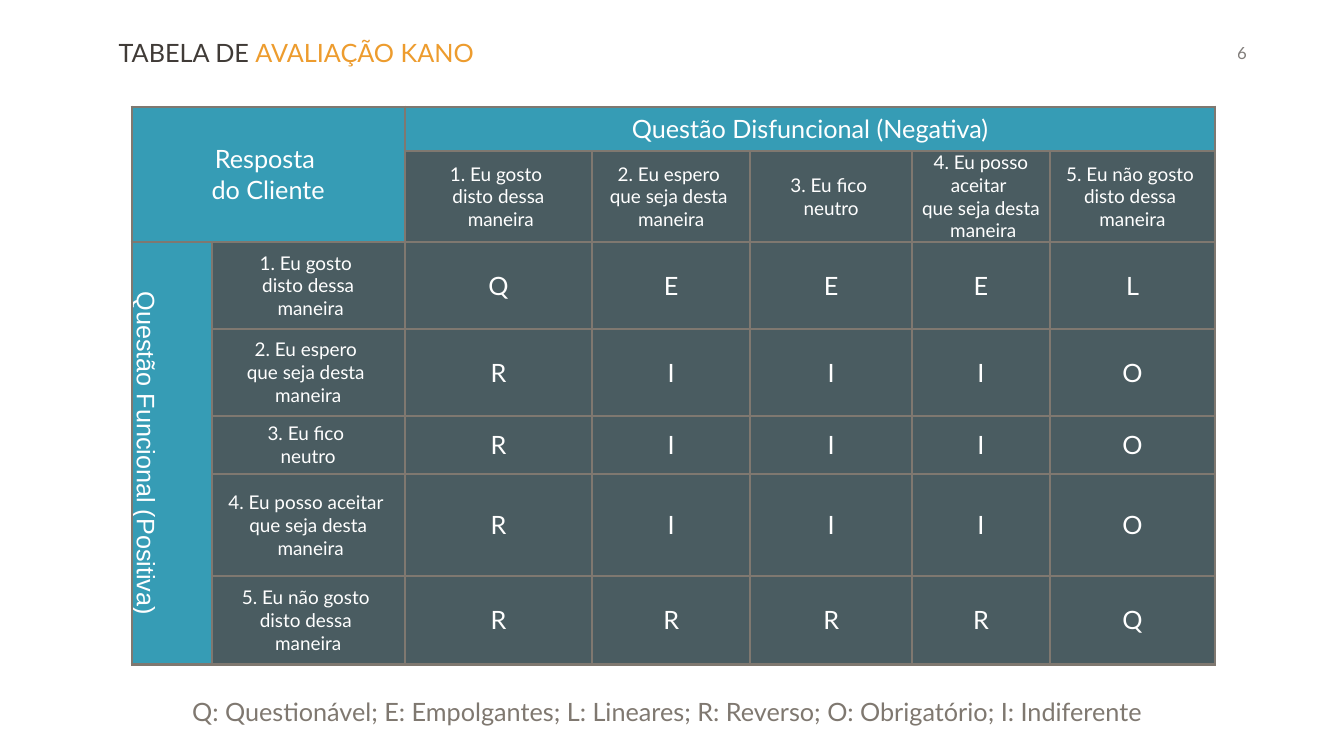
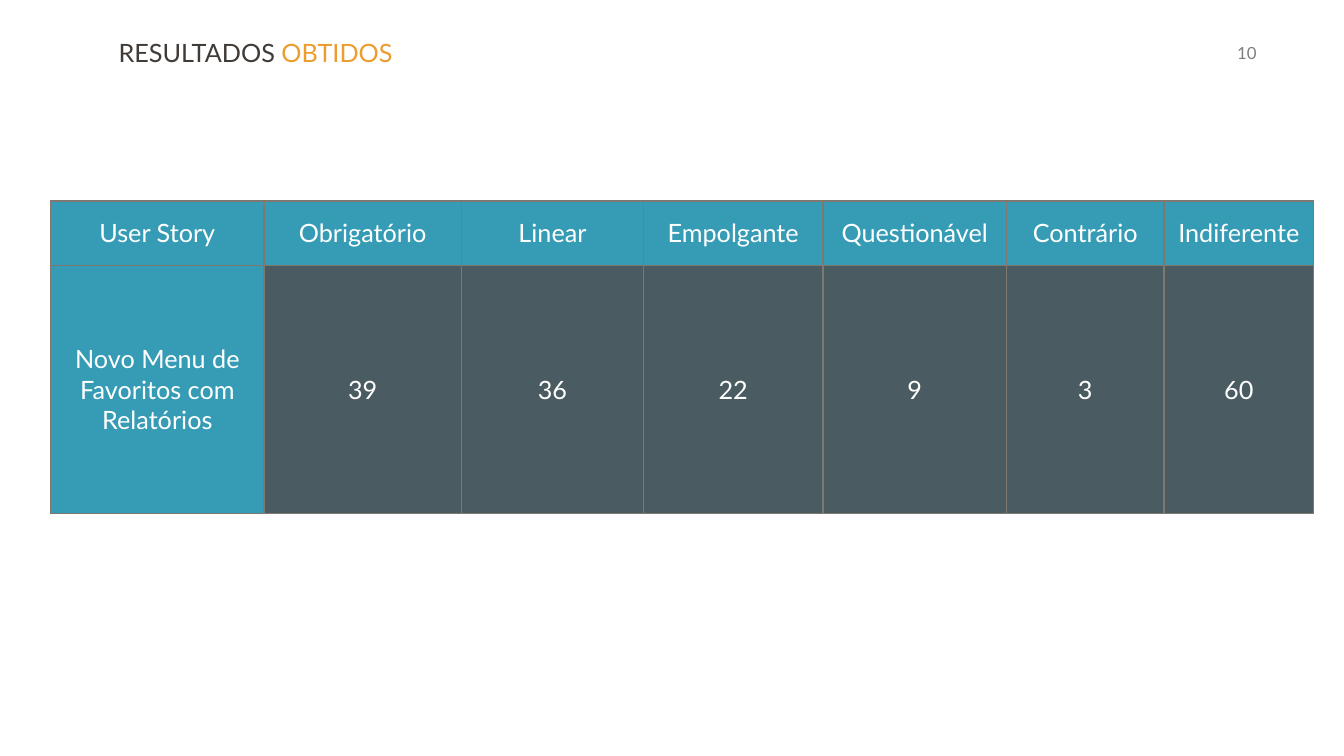
from lxml import etree
from pptx import Presentation
from pptx.dml.color import RGBColor
from pptx.enum.text import MSO_ANCHOR as Anchor, MSO_AUTO_SIZE as AutoSize, PP_ALIGN as Align
from pptx.oxml.ns import qn
from pptx.util import Inches, Pt

# Shared style
DARK = RGBColor(0x40, 0x3B, 0x37)
ORANGE = RGBColor(0xED, 0x9C, 0x2E)
TEAL = RGBColor(0x36, 0x9C, 0xB5)
SLATE = RGBColor(0x4A, 0x5C, 0x61)
GRAY = RGBColor(0x7F, 0x78, 0x70)
WHITE = RGBColor(0xFF, 0xFF, 0xFF)
FONT = "Lato"

# Kano answers label both the columns and the rows
ANSWERS = [
    "1. Eu gosto \ndisto dessa\n maneira",
    "2. Eu espero \nque seja desta \nmaneira",
    "3. Eu fico \nneutro",
    "4. Eu posso aceitar \nque seja desta\n maneira",
    "5. Eu não gosto \ndisto dessa \nmaneira",
]
RATINGS = ["QEEEL", "RIIIO", "RIIIO", "RIIIO", "RRRRQ"]
RESULTS = {"Obrigatório": 39, "Linear": 36, "Empolgante": 22,
           "Questionável": 9, "Contrário": 3, "Indiferente": 60}


def write(para, text, size=24, color=WHITE, font=FONT, alpha=None):
    """Add text to a paragraph, with a line break at each newline."""
    for number, line in enumerate(text.split("\n")):
        if number:
            para.add_line_break()
        span = para.add_run()
        span.text = line
        span.font.size = Pt(size)
        span.font.name = font
        span.font.color.rgb = color
        if alpha is not None:
            tint = span.font.fill._xPr.find(".//" + qn("a:srgbClr"))
            etree.SubElement(tint, qn("a:alpha"), val=str(alpha * 1000))


def add_box(page, left, top, width, height, wrap=True, grow=False,
            anchor=Anchor.TOP, align=Align.LEFT):
    """Add a text box and return its first paragraph."""
    box = page.shapes.add_textbox(Inches(left), Inches(top), Inches(width), Inches(height))
    frame = box.text_frame
    frame.word_wrap = wrap
    frame.auto_size = AutoSize.SHAPE_TO_FIT_TEXT if grow else AutoSize.NONE
    frame.vertical_anchor = anchor
    para = frame.paragraphs[0]
    para.alignment = align
    return para


def add_page(deck, number, lead, accent, title_width):
    """Add a blank slide with its two-colour title and page number."""
    page = deck.slides.add_slide(deck.slide_layouts[6])
    write(add_box(page, 16.26, 0.52, 0.47, 0.37, wrap=False, grow=True),
          str(number), size=16, color=DARK, alpha=65)
    title = add_box(page, 1.47, 0.44, title_width, 0.51)
    write(title, lead, color=DARK)
    write(title, accent, color=ORANGE)
    return page


def add_grid(page, left, top, widths, heights, border):
    """Add a table of slate cells with even borders."""
    frame = page.shapes.add_table(len(heights), len(widths), Inches(left), Inches(top),
                                  Inches(sum(widths)), Inches(sum(heights)))
    table = frame.table
    table.first_row = table.horz_banding = False
    for column, width in zip(table.columns, widths):
        column.width = Inches(width)
    for row, height in zip(table.rows, heights):
        row.height = Inches(height)
    for cell in table.iter_cells():
        cell.margin_left = cell.margin_right = cell.margin_top = cell.margin_bottom = 0
        cell.vertical_anchor = Anchor.MIDDLE
        paint(cell, SLATE)
        add_borders(cell, border)
    return table


def paint(cell, color):
    cell.fill.solid()
    cell.fill.fore_color.rgb = color


def add_borders(cell, width):
    """Draw the four sides; they must stand before the fill."""
    props = cell._tc.get_or_add_tcPr()
    for place, side in enumerate(("lnL", "lnR", "lnT", "lnB")):
        line = etree.Element(qn("a:" + side), w=str(Pt(width)))
        fill = etree.SubElement(line, qn("a:solidFill"))
        etree.SubElement(fill, qn("a:srgbClr"), val=str(GRAY))
        props.insert(place, line)


def fill_cell(cell, text, color=SLATE, **style):
    paint(cell, color)
    para = cell.text_frame.paragraphs[0]
    para.alignment = Align.CENTER
    write(para, text, **style)


def add_kano_table(page):
    table = add_grid(page, 1.74, 1.41, [1.06, 2.55, 2.48, 2.09, 2.14, 1.82, 2.19],
                     [0.59, 1.12, 1.15, 1.15, 0.77, 1.35, 1.17], border=2.25)
    # Merged headers
    table.cell(0, 0).merge(table.cell(1, 1))
    table.cell(0, 2).merge(table.cell(0, 6))
    table.cell(2, 0).merge(table.cell(6, 0))
    fill_cell(table.cell(0, 0), "Resposta \ndo Cliente", TEAL)
    fill_cell(table.cell(0, 2), "Questão Disfuncional (Negativa)", TEAL)
    functional = table.cell(2, 0)
    functional._tc.get_or_add_tcPr().set("vert", "vert")
    fill_cell(functional, "Questão Funcional (Positiva)", TEAL, font="Arial")
    # Answers and ratings
    for index, (answer, ratings) in enumerate(zip(ANSWERS, RATINGS), start=2):
        fill_cell(table.cell(1, index), answer, size=18)
        fill_cell(table.cell(index, 1), answer, size=18)
        for column, rating in enumerate(ratings, start=2):
            fill_cell(table.cell(index, column), rating)


def add_results_table(page):
    table = add_grid(page, 0.67, 2.66, [2.82, 2.61, 2.41, 2.37, 2.43, 2.08, 1.98],
                     [0.85, 3.28], border=1.5)
    fill_cell(table.cell(0, 0), "User Story", TEAL)
    fill_cell(table.cell(1, 0), "Novo Menu de Favoritos com Relatórios", TEAL)
    for column, (category, votes) in enumerate(RESULTS.items(), start=1):
        fill_cell(table.cell(0, column), category, TEAL)
        fill_cell(table.cell(1, column), str(votes))


def main():
    deck = Presentation()
    deck.slide_width, deck.slide_height = Inches(17.77), Inches(10)

    # Evaluation table and its legend
    page = add_page(deck, 6, "TABELA DE ", "AVALIAÇÃO KANO", title_width=14.36)
    add_kano_table(page)
    legend = add_box(page, 0.83, 9.16, 16.06, 0.5, grow=True,
                     anchor=Anchor.MIDDLE, align=Align.CENTER)
    write(legend, "Q: Questionável; E: Empolgantes; L: Lineares; R: Reverso; "
                  "O: Obrigatório; I: Indiferente ", color=GRAY)

    # Results
    page = add_page(deck, 10, "RESULTADOS ", "OBTIDOS", title_width=14.21)
    add_results_table(page)

    deck.save("out.pptx")


if __name__ == "__main__":
    main()
